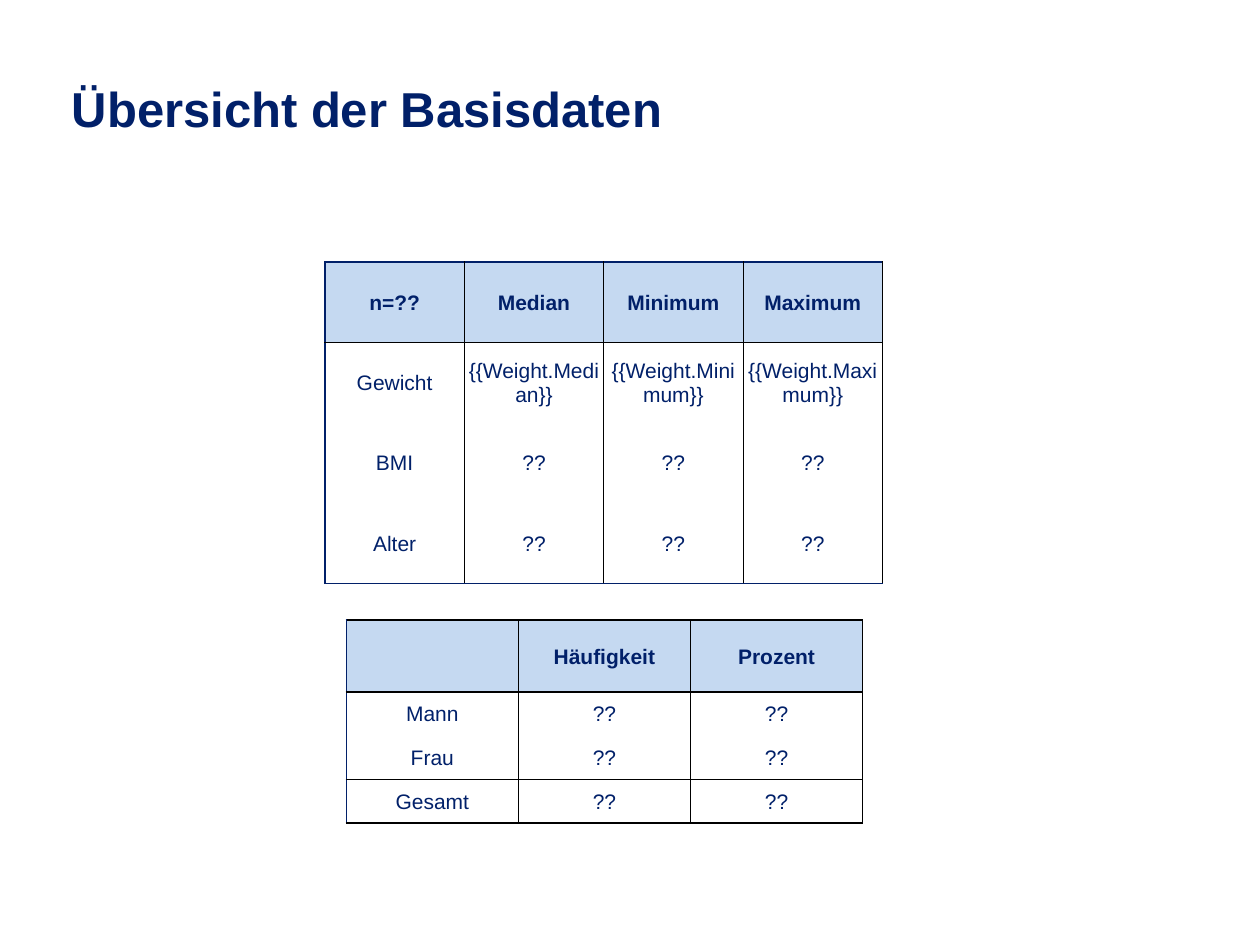
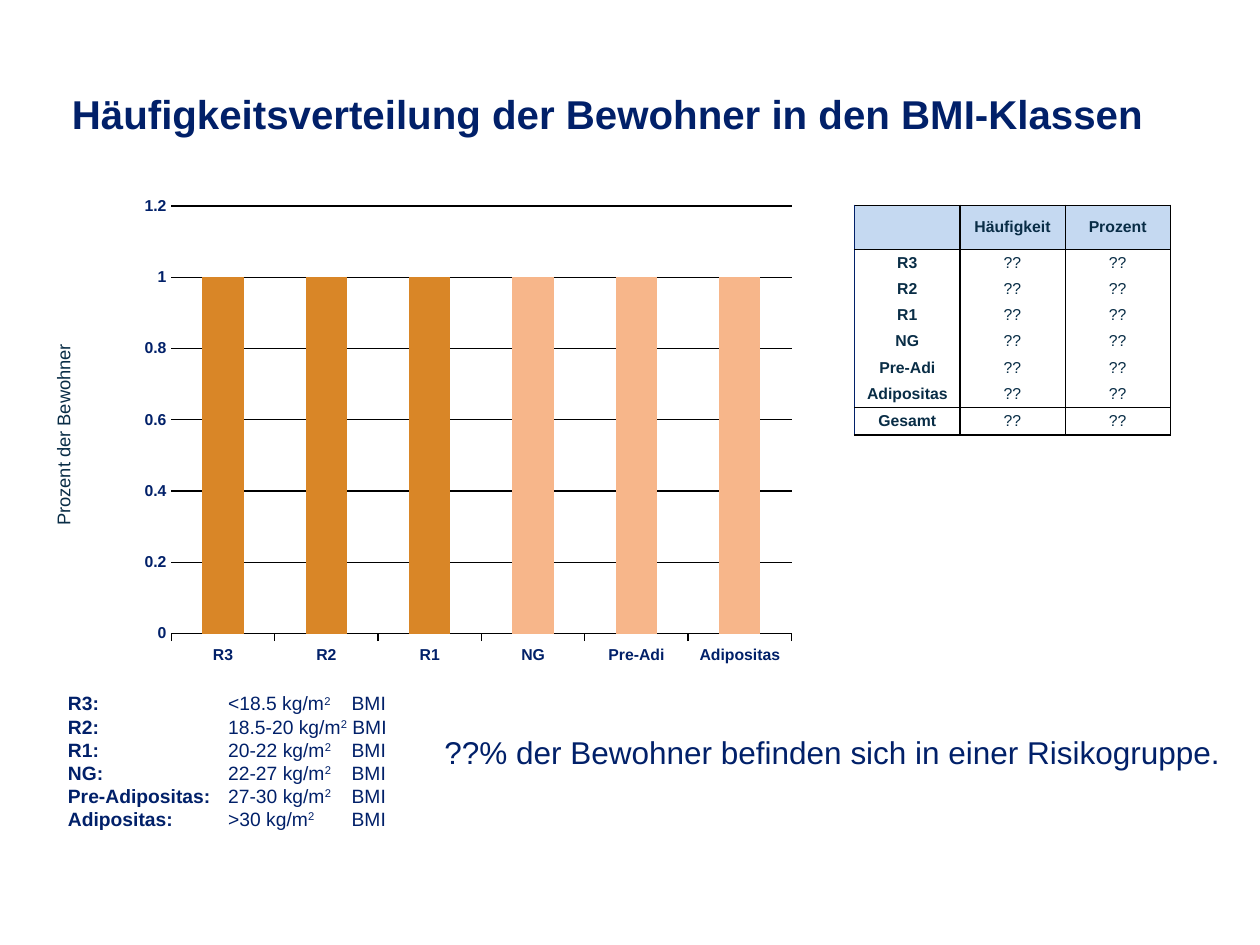
from lxml import etree
from pptx import Presentation
from pptx.chart.data import CategoryChartData
from pptx.dml.color import RGBColor
from pptx.enum.chart import XL_CHART_TYPE, XL_TICK_MARK
from pptx.enum.text import MSO_ANCHOR, PP_ALIGN
from pptx.oxml import parse_xml
from pptx.oxml.ns import nsdecls, qn
from pptx.util import Cm, Pt

STACKED = XL_CHART_TYPE.COLUMN_STACKED
TICK_NONE, TICK_OUT = XL_TICK_MARK.NONE, XL_TICK_MARK.OUTSIDE
TOP, MIDDLE, BOTTOM = MSO_ANCHOR.TOP, MSO_ANCHOR.MIDDLE, MSO_ANCHOR.BOTTOM
LEFT, CENTER = PP_ALIGN.LEFT, PP_ALIGN.CENTER

# Shared style
FONT = "Arial"
NAVY, SLATE, BLACK = "012069", "092D46", "000000"
HEADER_FILL = "C5D9F1"
RISK_COLOR, NORMAL_COLOR = "D98627", "F7B68A"

# Table lines: colour and width in points
NAVY_LINE, THICK, THIN = (NAVY, 1), (BLACK, 1), (BLACK, 0.5)
UNKNOWN = "??"

BMI_CLASSES = ["R3", "R2", "R1", "NG", "Pre-Adi", "Adipositas"]
BMI_RANGES = [
    ("R3:", "<18.5 kg/m", "\tBMI"),
    ("R2:", "18.5-20 kg/m", " BMI"),
    ("R1:", "20-22 kg/m", "\tBMI"),
    ("NG:", "22-27 kg/m", "\tBMI"),
    ("Pre-Adipositas:", "27-30 kg/m", "\tBMI"),
    ("Adipositas:", ">30 kg/m", "\tBMI"),
]


def rgb(color):
    return RGBColor.from_string(color)


def set_font(font, size, color, bold=None):
    font.name, font.size, font.bold = FONT, Pt(size), bold
    font.color.rgb = rgb(color)


def add_box(page, left, top, width, height, anchor=TOP, wrap=True):
    box = page.shapes.add_textbox(Cm(left), Cm(top), Cm(width), Cm(height))
    box.text_frame.word_wrap = wrap
    box.text_frame.vertical_anchor = anchor
    return box


def add_title(page, text, size):
    frame = add_box(page, 1.45, 1.27, 22.5, 1.52, BOTTOM).text_frame
    frame.margin_left = frame.margin_top = frame.margin_bottom = 0
    para = frame.paragraphs[0]
    para.text = text
    para.line_spacing = 0.9
    set_font(para.font, size, NAVY, True)


def add_label(page, left, top, width, height, text, size, color, align=LEFT, rotation=0):
    box = add_box(page, left, top, width, height, wrap=False)
    box.rotation = rotation
    para = box.text_frame.paragraphs[0]
    para.text = text
    para.alignment = align
    set_font(para.font, size, color)


# Tables
def set_borders(cell, sides):
    """Draw the sides L, R, T and B of a cell; None means no line."""
    properties = cell._tc.get_or_add_tcPr()
    for position, (side, line) in enumerate(sides.items()):
        border = etree.Element(qn(f"a:ln{side}"))
        if line:
            color, width = line
            border.set("w", str(Pt(width)))
            fill = etree.SubElement(border, qn("a:solidFill"))
            etree.SubElement(fill, qn("a:srgbClr"), val=color)
        else:
            etree.SubElement(border, qn("a:noFill"))
        properties.insert(position, border)


def add_table(page, left, top, column_width, heights, rows, size, color,
              row_lines, column_lines, margin=0.03, bold_names=False):
    """row_lines maps a row boundary to its line; column_lines lists every boundary."""
    count = len(rows[0])
    table = page.shapes.add_table(len(rows), count, Cm(left), Cm(top),
                                  Cm(column_width * count), Cm(sum(heights))).table
    table.horz_banding = False
    for column in table.columns:
        column.width = Cm(column_width)
    for r, (height, texts) in enumerate(zip(heights, rows)):
        table.rows[r].height = Cm(height)
        for c, text in enumerate(texts):
            cell = table.cell(r, c)
            cell.vertical_anchor = MIDDLE
            cell.margin_left = cell.margin_right = cell.margin_top = Cm(margin)
            cell.margin_bottom = 0
            if r == 0:
                cell.fill.solid()
                cell.fill.fore_color.rgb = rgb(HEADER_FILL)
            else:
                cell.fill.background()
            set_borders(cell, {"L": column_lines[c], "R": column_lines[c + 1],
                               "T": row_lines.get(r), "B": row_lines.get(r + 1)})
            para = cell.text_frame.paragraphs[0]
            para.text = text
            para.alignment = CENTER
            set_font(para.font, size, color, r == 0 or (bold_names and c == 0))


def add_frequency_table(page, left, top, column_width, heights, names, size, color, **options):
    """Header, one row per name, and a ruled total row."""
    rows = [["", "Häufigkeit", "Prozent"]]
    rows += [[name, UNKNOWN, UNKNOWN] for name in names + ["Gesamt"]]
    last = len(rows)
    add_table(page, left, top, column_width, heights, rows, size, color,
              {0: THICK, 1: THICK, last - 1: THIN, last: THICK},
              [NAVY_LINE, THICK, THIN, THIN], **options)


# Chart
def set_line(line, color, width):
    line.color.rgb = rgb(color)
    line.width = Pt(width)


def set_plot_area(chart, **fractions):
    area = chart._chartSpace.chart.plotArea
    for layout in area.findall(qn("c:layout")):
        area.remove(layout)
    values = "".join(f'<c:{key} val="{value}"/>' for key, value in fractions.items())
    area.insert(0, parse_xml(
        f'<c:layout {nsdecls("c")}><c:manualLayout><c:layoutTarget val="inner"/>'
        f'<c:xMode val="edge"/><c:yMode val="edge"/>{values}</c:manualLayout></c:layout>'))


def add_bmi_chart(page):
    data = CategoryChartData()
    data.categories = BMI_CLASSES
    data.add_series("Series 1", [1] * 3 + [None] * 3)
    data.add_series("Series 2", [None] * 3 + [1] * 3)
    chart = page.shapes.add_chart(STACKED, Cm(2.64), Cm(3.76), Cm(13.59), Cm(9.8), data).chart
    chart.has_title = chart.has_legend = False
    set_font(chart.font, 10, NAVY)
    set_plot_area(chart, x=0.06, y=0.04, w=0.92, h=0.88)

    plot = chart.plots[0]
    plot.gap_width, plot.overlap = 150, 100
    plot.vary_by_categories = False
    for series, color in zip(plot.series, (RISK_COLOR, NORMAL_COLOR)):
        series.format.fill.solid()
        series.format.fill.fore_color.rgb = rgb(color)

    classes, values = chart.category_axis, chart.value_axis
    for axis, tick in ((classes, TICK_OUT), (values, TICK_NONE)):
        axis.major_tick_mark, axis.minor_tick_mark = tick, TICK_NONE
        set_font(axis.tick_labels.font, 9, NAVY, True)
    set_line(classes.format.line, BLACK, 0.75)
    values.format.line.fill.background()
    values.minimum_scale, values.maximum_scale, values.major_unit = 0, 1.2, 0.2
    values.has_major_gridlines = True
    set_line(values.major_gridlines.format.line, BLACK, 0.75)


def add_bmi_ranges(page):
    frame = add_box(page, 1.12, 13.82, 10.31, 3.07).text_frame
    for index, (name, limits, unit) in enumerate(BMI_RANGES):
        para = frame.add_paragraph() if index else frame.paragraphs[0]
        tabs = etree.SubElement(para._p.get_or_add_pPr(), qn("a:tabLst"))
        for stop in (3.23, 5.72):
            etree.SubElement(tabs, qn("a:tab"), pos=str(Cm(stop)), algn="l")
        set_font(para.font, 11, NAVY)
        for text in (name, "\t" + limits, "2", unit):
            span = para.add_run()
            span.text = text
            if text == name:
                span.font.bold = True
            elif text == "2":
                span._r.get_or_add_rPr().set("baseline", "30000")


# Slides
def build_overview(page):
    add_title(page, "Übersicht der Basisdaten", 28)
    statistics = ["Median", "Minimum", "Maximum"]
    rows = [["n=??"] + statistics,
            ["Gewicht"] + ["{{Weight.%s}}" % name for name in statistics]]
    rows += [[name] + [UNKNOWN] * 3 for name in ("BMI", "Alter")]
    add_table(page, 6.55, 5.28, 2.81, [1.62] * 4, rows, 12, NAVY,
              {0: NAVY_LINE, 1: THIN, 4: NAVY_LINE}, [NAVY_LINE] + [THIN] * 4)
    add_frequency_table(page, 6.98, 12.5, 3.47, [1.45] + [0.88] * 3,
                        ["Mann", "Frau"], 12, NAVY)


def build_distribution(page):
    add_title(page, "Häufigkeitsverteilung der Bewohner in den BMI-Klassen", 23)
    add_bmi_ranges(page)
    add_label(page, -0.84, 8.41, 4.24, 0.71, "Prozent der Bewohner", 10.5, SLATE, CENTER, 270)
    add_label(page, 8.71, 14.66, 16.28, 1.02,
              "??% der Bewohner befinden sich in einer Risikogruppe.", 18, NAVY)
    add_frequency_table(page, 17.23, 4.14, 2.12, [0.89] + [0.53] * 6 + [0.56],
                        BMI_CLASSES, 9, SLATE, margin=0, bold_names=True)
    add_bmi_chart(page)


def main():
    deck = Presentation()
    deck.slide_width, deck.slide_height = Cm(25.4), Cm(19.05)
    for build in (build_overview, build_distribution):
        build(deck.slides.add_slide(deck.slide_layouts[6]))
    deck.save("out.pptx")


if __name__ == "__main__":
    main()
